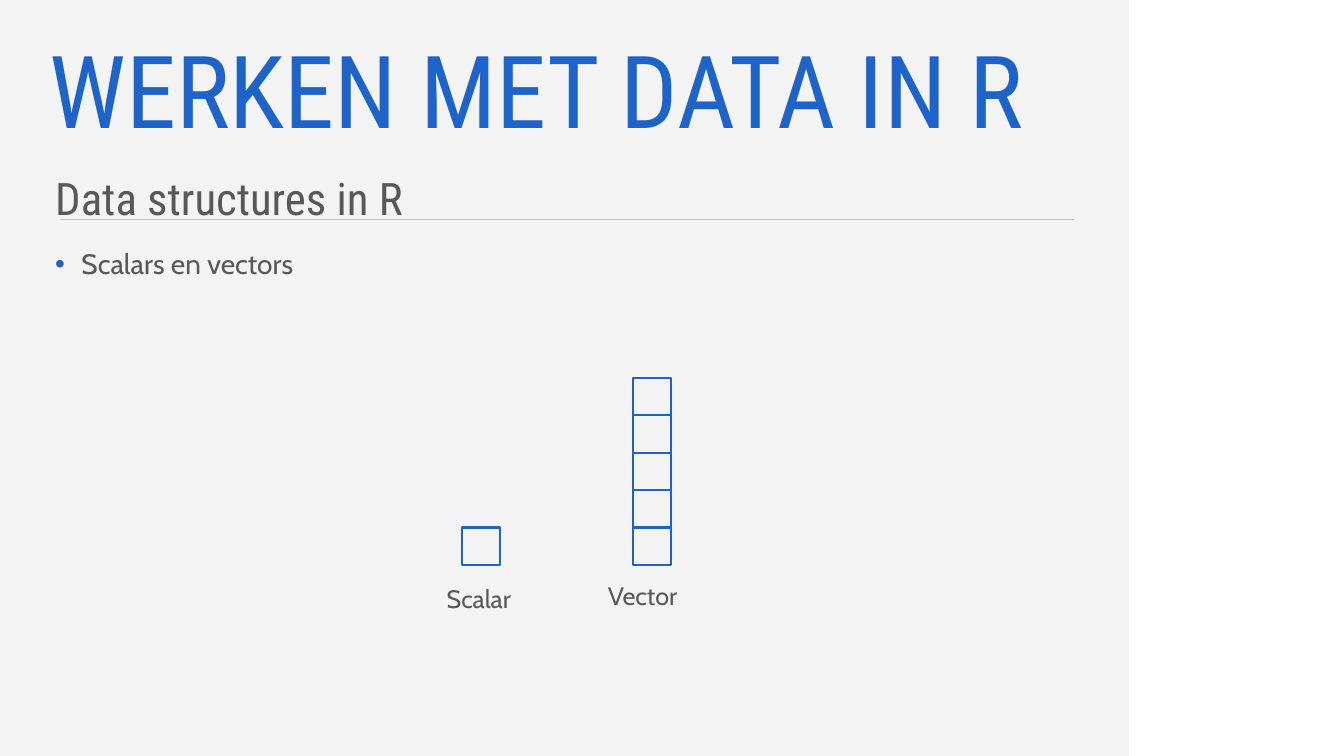
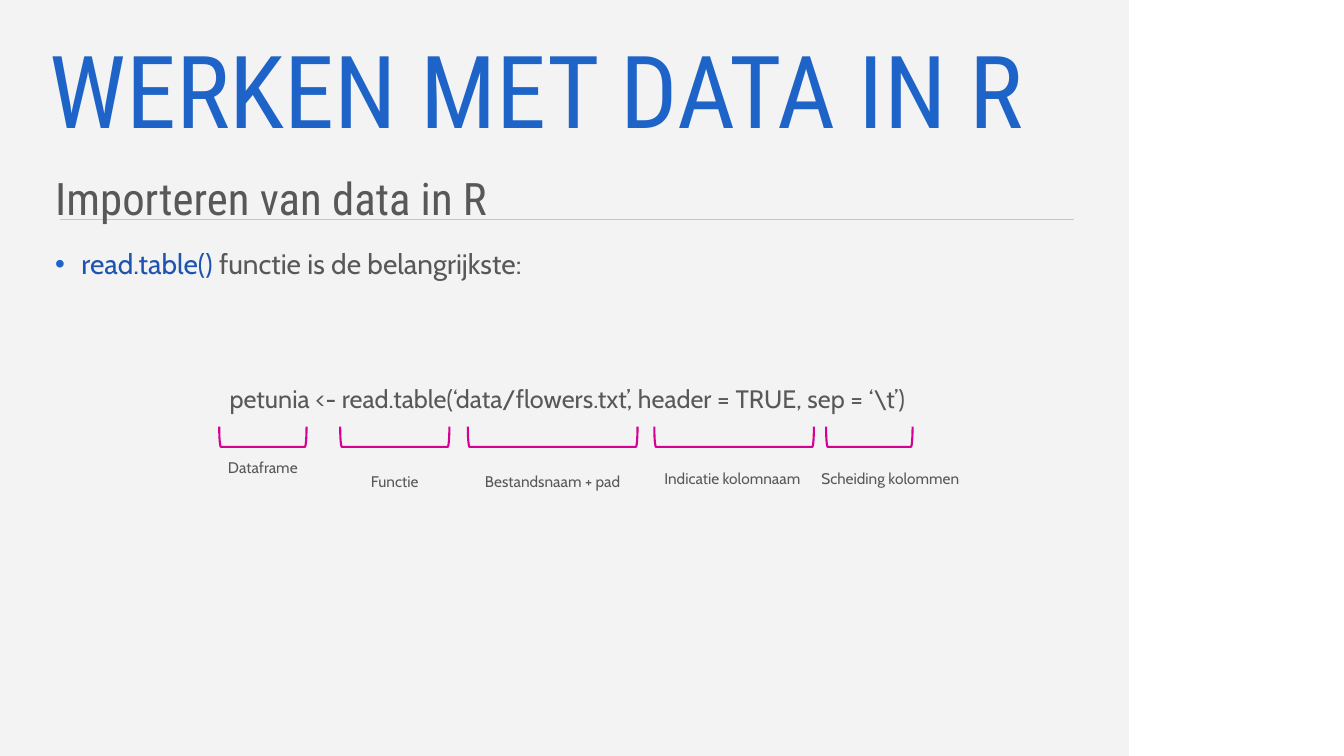
from lxml.etree import SubElement
from pptx import Presentation
from pptx.dml.color import RGBColor
from pptx.enum.shapes import MSO_CONNECTOR, MSO_SHAPE
from pptx.enum.text import MSO_ANCHOR, PP_ALIGN
from pptx.oxml.ns import qn
from pptx.util import Inches, Pt

# The slide is a grid of 160 columns and 90 rows; one unit is 1/12 inch.
COLUMNS, ROWS = 160, 90
PANEL_COLUMNS = 134.4
TEXT_LEFT, TEXT_WIDTH = 5.4, 122.4
CELL_WIDTH, CELL_HEIGHT = 4.5, 4.45
BOTTOM_CELL_ROW = 62.8
BRACKET_ROW, BRACKET_DEPTH = 52, 2.4
LABEL_WIDTH = 32.9

BLUE, CODE_BLUE, GREY = "1E64C8", "1D54B0", "585858"
PANEL, RULE, PINK = "F3F3F3", "C6C6C6", "D60093"
HEADING_FONT, BODY_FONT = "Roboto Condensed", "Cabin"


def color(hex_string):
    return RGBColor.from_string(hex_string)


def grid(*units):
    return [Inches(unit / 12) for unit in units]


def add_text(page, frame, runs, size, font=BODY_FONT, align=PP_ALIGN.LEFT,
             anchor=MSO_ANCHOR.TOP, spacing=1.0, bullet=False):
    """Add a one-paragraph box; runs are (text, colour) pairs."""
    box = page.shapes.add_textbox(*grid(*frame))
    text = box.text_frame
    text.word_wrap = True
    text.vertical_anchor = anchor
    para = text.paragraphs[0]
    if bullet:
        add_bullet(para)
    para.alignment = align
    para.line_spacing = spacing
    for words, hex_string in runs:
        span = para.add_run()
        span.text = words
        span.font.name = font
        span.font.size = Pt(size)
        span.font.color.rgb = color(hex_string)


def add_bullet(para):
    properties = para._p.get_or_add_pPr()
    properties.set("marL", str(Inches(0.26)))
    properties.set("indent", str(-Inches(0.26)))
    bullet_color = SubElement(properties, qn("a:buClr"))
    SubElement(bullet_color, qn("a:srgbClr")).set("val", BLUE)
    SubElement(properties, qn("a:buFont")).set("typeface", "Arial")
    SubElement(properties, qn("a:buChar")).set("char", "•")


def add_shape(page, kind, frame, fill=None, line=None):
    shape = page.shapes.add_shape(kind, *grid(*frame))
    shape.shadow.inherit = False
    if fill:
        shape.fill.solid()
        shape.fill.fore_color.rgb = color(fill)
    else:
        shape.fill.background()
    if line:
        shape.line.color.rgb = color(line)
        shape.line.width = Pt(1.5)
    else:
        shape.line.fill.background()
    return shape


def add_rule(page):
    rule = page.shapes.add_connector(MSO_CONNECTOR.STRAIGHT,
                                     *grid(7.1, 26.1, 127.9, 26.1))
    rule.line.color.rgb = color(RULE)
    rule.line.width = Pt(0.5)
    SubElement(rule._element.spPr, qn("a:effectLst"))


def add_page(deck, subtitle, bullet_runs):
    """Add a slide with the shared panel, rule, title, subtitle and bullet."""
    page = deck.slides.add_slide(deck.slide_layouts[6])
    add_shape(page, MSO_SHAPE.RECTANGLE, (0, 0, PANEL_COLUMNS, ROWS), PANEL)
    add_rule(page)
    add_text(page, (TEXT_LEFT, 18.4, TEXT_WIDTH, 8.5), [(subtitle, GREY)],
             32, HEADING_FONT, spacing=1.2)
    add_text(page, (TEXT_LEFT, 28, TEXT_WIDTH, 62), bullet_runs,
             20, spacing=1.2, bullet=True)
    add_text(page, (4.7, 4.3, 123.1, 14.3), [("WERKEN MET DATA IN R", BLUE)],
             72, HEADING_FONT, anchor=MSO_ANCHOR.MIDDLE, spacing=0.9)
    return page


def add_label(page, center, top, words, size, width, height):
    add_text(page, (center - width / 2, top, width, height), [(words, GREY)],
             size, align=PP_ALIGN.CENTER)


def add_cell_stack(page, left, count):
    """Stack cells upwards from the bottom cell row."""
    for level in range(count):
        top = BOTTOM_CELL_ROW - level * CELL_HEIGHT
        add_shape(page, MSO_SHAPE.RECTANGLE,
                  (left, top, CELL_WIDTH, CELL_HEIGHT), PANEL, BLUE)


def add_bracket(page, center, span):
    """Add a bracket that opens upwards, span columns wide."""
    frame = (center - BRACKET_DEPTH / 2, BRACKET_ROW - span / 2,
             BRACKET_DEPTH, span)
    add_shape(page, MSO_SHAPE.LEFT_BRACKET, frame, line=PINK).rotation = 270


def build_structures(deck):
    page = add_page(deck, "Data structures in R",
                    [("Scalars en vectors", GREY)])
    for left, count, center, top, words in (
            (55, 1, 57, 68.8, "Scalar"),
            (75.4, 5, 76.5, 68.5, "Vector")):
        add_cell_stack(page, left, count)
        add_label(page, center, top, words, 18, 17.3, 4.8)


def build_import(deck):
    page = add_page(deck, "Importeren van data in R",
                    [("read.table() ", CODE_BLUE),
                     ("functie is de belangrijkste:", GREY)])
    code = "petunia <- read.table(‘data/flowers.txt’, header = TRUE, sep = ‘\\t’) "
    add_label(page, 67.9, 45, code, 18, 109.2, 4.8)
    for center, span, label_center, top, words in (
            (31.3, 10.4, 31.3, 53.9, "Dataframe"),
            (47, 13, 47, 55.6, "Functie"),
            (65.8, 20.2, 65.8, 55.6, "Bestandsnaam + pad"),
            (87.4, 19, 87.2, 55.3, "Indicatie kolomnaam"),
            (103.5, 10.3, 106, 55.2, "Scheiding kolommen")):
        add_bracket(page, center, span)
        add_label(page, label_center, top, words, 11, LABEL_WIDTH, 3.5)


def main():
    deck = Presentation()
    deck.slide_width, deck.slide_height = grid(COLUMNS, ROWS)
    build_structures(deck)
    build_import(deck)
    deck.save("out.pptx")


if __name__ == "__main__":
    main()
